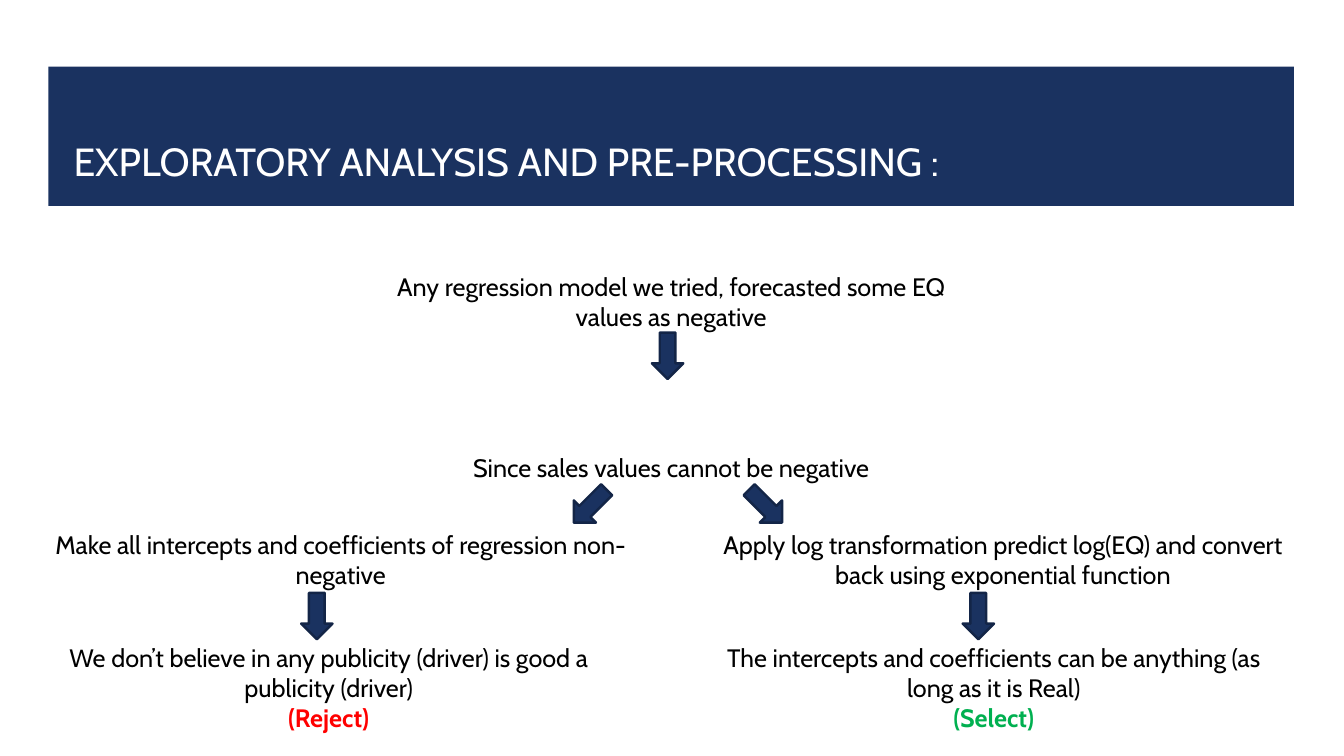
from pptx import Presentation
from pptx.dml.color import RGBColor
from pptx.enum.shapes import MSO_SHAPE
from pptx.enum.text import MSO_ANCHOR, MSO_AUTO_SIZE, PP_ALIGN
from pptx.util import Cm, Pt


def tint(code):
    return RGBColor.from_string(code)


class Board:
    face = "Cabin"
    navy = "1A3260"
    edge = "132547"
    wide = 14.99

    def __init__(self, slide):
        self.slide = slide

    def style(self, para, size, color, align, bold=False):
        para.alignment = align
        font = para.font
        font.name, font.size, font.bold = self.face, Pt(size), bold
        font.color.rgb = tint(color)

    def shape(self, kind, left, top, width, height):
        item = self.slide.shapes.add_shape(
            kind, Cm(left), Cm(top), Cm(width), Cm(height))
        item.shadow.inherit = False
        item.fill.solid()
        item.fill.fore_color.rgb = tint(self.navy)
        return item

    def title(self, text):
        band = self.shape(MSO_SHAPE.RECTANGLE, 1.22, 1.68, 31.39, 3.51)
        band.line.fill.background()
        head = self.slide.shapes.title
        head.element.addprevious(band.element)
        head.left, head.top = Cm(1.6), Cm(2.03)
        head.width, head.height = Cm(30.63), Cm(2.74)
        frame = head.text_frame
        frame.text = text
        frame.word_wrap = True
        frame.vertical_anchor = MSO_ANCHOR.BOTTOM
        self.style(frame.paragraphs[0], 28, "FFFFFF", PP_ALIGN.LEFT)

    def note(self, left, top, height, text, verdict=None, color=None):
        box = self.slide.shapes.add_textbox(
            Cm(left), Cm(top), Cm(self.wide), Cm(height))
        frame = box.text_frame
        frame.word_wrap = True
        frame.auto_size = MSO_AUTO_SIZE.SHAPE_TO_FIT_TEXT
        frame.text = text
        self.style(frame.paragraphs[0], 18, "000000", PP_ALIGN.CENTER)
        if verdict:
            para = frame.add_paragraph()
            para.text = verdict
            self.style(para, 18, color, PP_ALIGN.CENTER, True)

    def arrow(self, left, top, turn=0):
        item = self.shape(MSO_SHAPE.DOWN_ARROW, left, top, 0.79, 1.17)
        item.line.color.rgb = tint(self.edge)
        item.line.width = Pt(1.75)
        item.rotation = turn


def main():
    deck = Presentation()
    deck.slide_width, deck.slide_height = Cm(33.87), Cm(19.05)
    board = Board(deck.slides.add_slide(deck.slide_layouts[5]))
    board.title("EXPLORATORY ANALYSIS AND PRE-PROCESSING :")

    board.note(9.42, 6.71, 1.8, "Any regression model we tried, "
               "forecasted some EQ values as negative")
    board.note(9.42, 11.28, 1.02, "Since sales values cannot be negative")
    board.note(1.09, 13.21, 1.8, "Make all intercepts and coefficients "
               "of regression non-negative")
    board.note(17.78, 13.21, 1.8, "Apply log transformation predict log(EQ) "
               "and convert back using exponential function")
    board.note(0.79, 16.05, 2.57, "We don’t believe in any publicity (driver) "
               "is good a publicity (driver)", "(Reject)", "FF0000")
    board.note(17.55, 16.05, 2.57, "The intercepts and coefficients can be "
               "anything (as long as it is Real)", "(Select)", "00B050")

    board.arrow(16.43, 8.38)
    board.arrow(14.48, 12.17, 45)
    board.arrow(18.9, 12.17, 315)
    for left in (7.59, 24.26):
        board.arrow(left, 14.94)

    deck.save("out.pptx")


if __name__ == "__main__":
    main()
